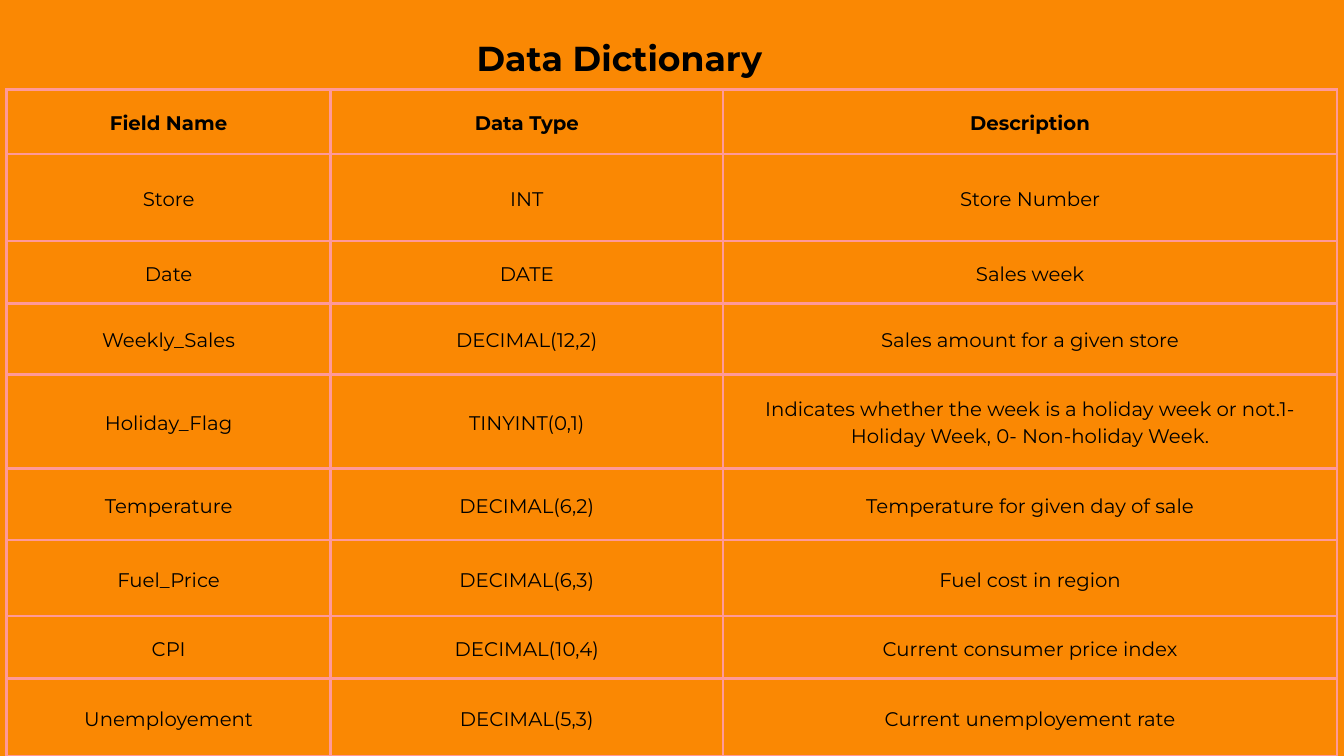
from lxml import etree
from pptx import Presentation
from pptx.dml.color import RGBColor
from pptx.enum.text import MSO_ANCHOR, MSO_AUTO_SIZE, PP_ALIGN
from pptx.oxml.ns import qn
from pptx.util import Inches, Pt

COLORS = {"back": "FA8803", "text": "000000", "grid": "FF9999"}
FONT = "Montserrat"
WIDTHS = [4.82, 5.84, 9.14]
HEIGHTS = [0.96, 1.3, 0.93, 1.05, 1.4, 1.07, 1.13, 0.93, 1.16]
FIELDS = [
    ("Field Name", "Data Type", "Description"),
    ("Store", "INT", "Store Number"),
    ("Date", "DATE", "Sales week"),
    ("Weekly_Sales", "DECIMAL(12,2)", "Sales amount for a given store"),
    ("Holiday_Flag", "TINYINT(0,1)",
     "Indicates whether the week is a holiday week or not.1- Holiday Week, 0- Non-holiday Week."),
    ("Temperature", "DECIMAL(6,2)", "Temperature for given day of sale"),
    ("Fuel_Price", "DECIMAL(6,3)", "Fuel cost in region"),
    ("CPI", "DECIMAL(10,4)", "Current consumer price index"),
    ("Unemployement", "DECIMAL(5,3)", "Current unemployement rate"),
]


class Page:
    """Holds the style and the slide being drawn."""

    def __init__(self, slide, colors, font):
        self.slide, self.colors, self.font = slide, colors, font

    def color(self, name):
        return RGBColor.from_string(self.colors[name])

    def back(self):
        fill = self.slide.background.fill
        fill.solid()
        fill.fore_color.rgb = self.color("back")

    def text(self, frame, words, size, lead, bold):
        """Put one centred run in the frame; lead is the line pitch in points."""
        frame.word_wrap = True
        para = frame.paragraphs[0]
        para.alignment = PP_ALIGN.CENTER
        para.line_spacing = Pt(lead)
        run = para.add_run()
        run.text = words
        run.font.name = self.font
        run.font.size = Pt(size)
        run.font.bold = bold
        run.font.color.rgb = self.color("text")

    def title(self, words, left, top, width, height):
        box = self.slide.shapes.add_textbox(
            Inches(left), Inches(top), Inches(width), Inches(height))
        frame = box.text_frame
        frame.margin_left = frame.margin_right = 0
        frame.margin_top = frame.margin_bottom = 0
        self.text(frame, words, 37.1, 51.9, True)
        frame.auto_size = MSO_AUTO_SIZE.SHAPE_TO_FIT_TEXT

    def border(self, cell):
        props = cell._tc.get_or_add_tcPr()
        for index, side in enumerate(("lnL", "lnR", "lnT", "lnB")):
            line = etree.Element(qn(f"a:{side}"), w=str(Pt(3)))
            fill = etree.SubElement(line, qn("a:solidFill"))
            etree.SubElement(fill, qn("a:srgbClr"), val=self.colors["grid"])
            props.insert(index, line)

    def cell(self, cell, words, bold):
        cell.fill.background()
        cell.vertical_anchor = MSO_ANCHOR.MIDDLE
        cell.margin_left = cell.margin_right = Inches(0.21)
        cell.margin_top = cell.margin_bottom = Inches(0.21)
        self.text(cell.text_frame, words, 21.1, 29.5, bold)
        self.border(cell)

    def table(self, rows, left, top, widths, heights):
        table = self.slide.shapes.add_table(
            len(rows), len(widths), Inches(left), Inches(top),
            Inches(sum(widths)), Inches(sum(heights))).table
        table.first_row = table.horz_banding = False
        for column, width in zip(table.columns, widths):
            column.width = Inches(width)
        for row, height in zip(table.rows, heights):
            row.height = Inches(height)
        for r, texts in enumerate(rows):
            for c, words in enumerate(texts):
                self.cell(table.cell(r, c), words, r == 0)


def main():
    deck = Presentation()
    deck.slide_width, deck.slide_height = Inches(20), Inches(11.25)
    page = Page(deck.slides.add_slide(deck.slide_layouts[6]), COLORS, FONT)
    page.back()
    page.table(FIELDS, 0.1, 1.33, WIDTHS, HEIGHTS)
    page.title("Data Dictionary", 7.09, 0.44, 4.25, 0.69)
    deck.save("out.pptx")


if __name__ == "__main__":
    main()
